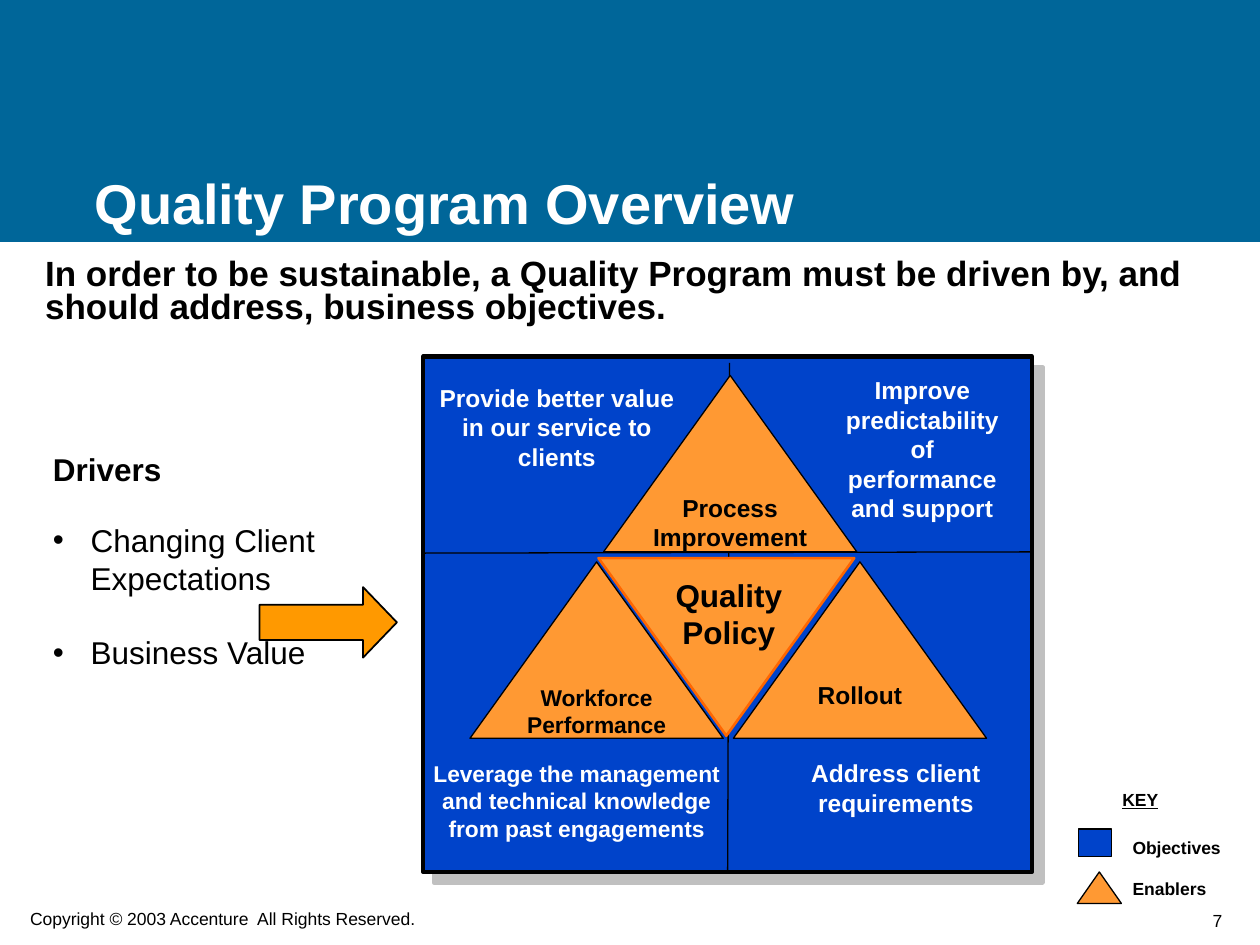
"""Build the Quality Program Overview slide."""
import pptx
import pptx.dml.color
import pptx.enum.shapes
import pptx.enum.text
import pptx.oxml
import pptx.oxml.ns
import pptx.util

Inches = pptx.util.Inches
Pt = pptx.util.Pt
RGBColor = pptx.dml.color.RGBColor
SHAPE = pptx.enum.shapes.MSO_SHAPE
ALIGN = pptx.enum.text.PP_ALIGN
ANCHOR = pptx.enum.text.MSO_ANCHOR

BLACK = RGBColor(0x00, 0x00, 0x00)
WHITE = RGBColor(0xFF, 0xFF, 0xFF)
BANNER = RGBColor(0x00, 0x66, 0x99)
OBJECTIVE = RGBColor(0x00, 0x43, 0xCA)
ENABLER = RGBColor(0xFF, 0x99, 0x33)
POLICY_EDGE = RGBColor(0xFF, 0x66, 0x00)
ARROW = RGBColor(0xFF, 0x99, 0x00)
NAMESPACE = pptx.oxml.ns.nsdecls("a")


def write(shape, text, size=14, bold=True, color=BLACK, align=ALIGN.CENTER,
          anchor=ANCHOR.TOP, wrap=True, spacing=1.0, underline=False):
    frame = shape.text_frame
    frame.text = text
    frame.auto_size = pptx.enum.text.MSO_AUTO_SIZE.NONE
    frame.word_wrap = wrap
    frame.vertical_anchor = anchor
    for paragraph in frame.paragraphs:
        paragraph.alignment = align
        paragraph.line_spacing = spacing
        paragraph.space_before = Pt(0)
        for run in paragraph.runs:
            run.font.name = "Arial"
            run.font.size = Pt(size)
            run.font.bold = bold
            run.font.underline = underline
            run.font.color.rgb = color


def draw(kind, box, fill, edge=BLACK, width=0.75):
    shape = slide.shapes.add_shape(kind, *map(Inches, box))
    shape.shadow.inherit = False
    shape.fill.solid()
    shape.fill.fore_color.rgb = fill
    if edge is None:
        shape.line.fill.background()
    else:
        shape.line.color.rgb = edge
        shape.line.width = Pt(width)
    return shape


presentation = pptx.Presentation()
presentation.slide_width = Inches(10)
presentation.slide_height = Inches(7.5)
slide = presentation.slides.add_slide(presentation.slide_layouts[1])

title = slide.shapes.title
title.left, title.top, title.width, title.height = map(Inches, (0.65, 0.67, 8.5, 1.25))
title.fill.solid()
title.fill.fore_color.rgb = BANNER
write(title, "Quality Program Overview", size=32, color=WHITE, align=ALIGN.LEFT,
      anchor=ANCHOR.BOTTOM)
banner = draw(SHAPE.RECTANGLE, (0, 0, 10, 1.92), BANNER, edge=None)
title._element.addprevious(banner._element)

drivers = slide.placeholders[1]
drivers.left, drivers.top, drivers.width, drivers.height = map(Inches, (0.32, 3.52, 2.78, 1.87))
write(drivers, "Drivers\nChanging Client\vExpectations\nBusiness Value", size=18,
      bold=False, align=ALIGN.LEFT)
for index, paragraph in enumerate(drivers.text_frame.paragraphs):
    properties = paragraph._p.get_or_add_pPr()
    indent = Inches(0.3) if index else 0
    properties.set("marL", str(indent))
    properties.set("indent", str(-indent))
    bullet = '<a:buChar %s char="•"/>' if index else "<a:buNone %s/>"
    properties.append(pptx.oxml.parse_xml(bullet % NAMESPACE))
    paragraph.space_before = Pt((0, 19, 21)[index])
drivers.text_frame.paragraphs[0].runs[0].font.bold = True

square = draw(SHAPE.RECTANGLE, (3.36, 2.83, 4.83, 4.09), OBJECTIVE, width=2.5)
effects = square._element.spPr.find(pptx.oxml.ns.qn("a:effectLst"))
effects.append(pptx.oxml.parse_xml(
    f'<a:outerShdw {NAMESPACE} dist="{Pt(8.5)}" dir="2700000" algn="ctr" rotWithShape="0">'
    '<a:srgbClr val="C0C0C0"/></a:outerShdw>'))

dividers = []
for ends in ((5.79, 2.88, 5.77, 6.93), (3.36, 4.39, 8.19, 4.38)):
    divider = slide.shapes.add_connector(
        pptx.enum.shapes.MSO_CONNECTOR.STRAIGHT, *map(Inches, ends))
    divider.line.color.rgb = BLACK
    divider.line.width = Pt(0.75)
    divider._element.spPr.append(pptx.oxml.parse_xml(f"<a:effectLst {NAMESPACE}/>"))
    dividers.append(divider)
dividers[0].end_connect(square, 2)

for left, top, label, size, anchor in (
    (4.79, 2.98, "Process\nImprovement", 14, ANCHOR.BOTTOM),
    (5.82, 4.46, "Rollout", 14, ANCHOR.MIDDLE),
    (3.73, 4.46, "Workforce\nPerformance", 13, ANCHOR.BOTTOM),
):
    enabler = draw(SHAPE.ISOSCELES_TRIANGLE, (left, top, 2.01, 1.4), ENABLER)
    write(enabler, label, size=size, anchor=anchor, wrap=False)
    enabler.text_frame.margin_top = enabler.text_frame.margin_bottom = 0

policy = draw(SHAPE.ISOSCELES_TRIANGLE, (4.75, 4.43, 2.03, 1.41), ENABLER, POLICY_EDGE, 1.5)
policy._element.spPr.xfrm.flipV = True

draw(SHAPE.RECTANGLE, (8.56, 6.58, 0.26, 0.22), OBJECTIVE)
draw(SHAPE.ISOSCELES_TRIANGLE, (8.55, 6.92, 0.35, 0.25), ENABLER)
arrow = draw(SHAPE.RIGHT_ARROW, (2.06, 4.66, 1.09, 0.56), ARROW, width=1)
arrow.adjustments[1] = 0.48

objective_format = {"color": WHITE}
key_format = {"size": 10, "align": ALIGN.LEFT, "wrap": False}
footer_format = {"size": 10, "bold": False, "anchor": ANCHOR.BOTTOM}
for box, text, text_format in (
    ((5.26, 4.52, 1.05, 0.7), "Quality\nPolicy", {"size": 18, "wrap": False}),
    ((6.56, 2.93, 1.52, 1.27), "Improve predictability of performance and support",
     objective_format),
    ((6.3, 5.97, 1.62, 0.57), "Address client requirements", objective_format),
    ((3.28, 5.98, 2.59, 0.75),
     "Leverage the management and technical knowledge from past engagements",
     {**objective_format, "size": 13}),
    ((3.31, 2.99, 2.22, 1.03), "Provide better value in our service to clients",
     objective_format),
    ((8.89, 6.59, 0.9, 0.27), "Objectives", key_format),
    ((8.89, 6.92, 0.89, 0.27), "Enablers", key_format),
    ((8.81, 6.21, 0.49, 0.27), "KEY", {**key_format, "underline": True}),
    ((0.26, 2.01, 9.44, 0.63),
     "In order to be sustainable, a Quality Program must be driven by, and should "
     "address, business objectives.",
     {"size": 20, "align": ALIGN.LEFT, "spacing": 0.8}),
    ((0.14, 6.92, 9.58, 0.5), "Copyright © 2003 Accenture  All Rights Reserved.",
     {**footer_format, "align": ALIGN.LEFT}),
    ((7.95, 7.14, 1.85, 0.3), "7",
     {**footer_format, "align": ALIGN.RIGHT, "spacing": 0.8}),
):
    write(slide.shapes.add_textbox(*map(Inches, box)), text, **text_format)

presentation.save("out.pptx")
